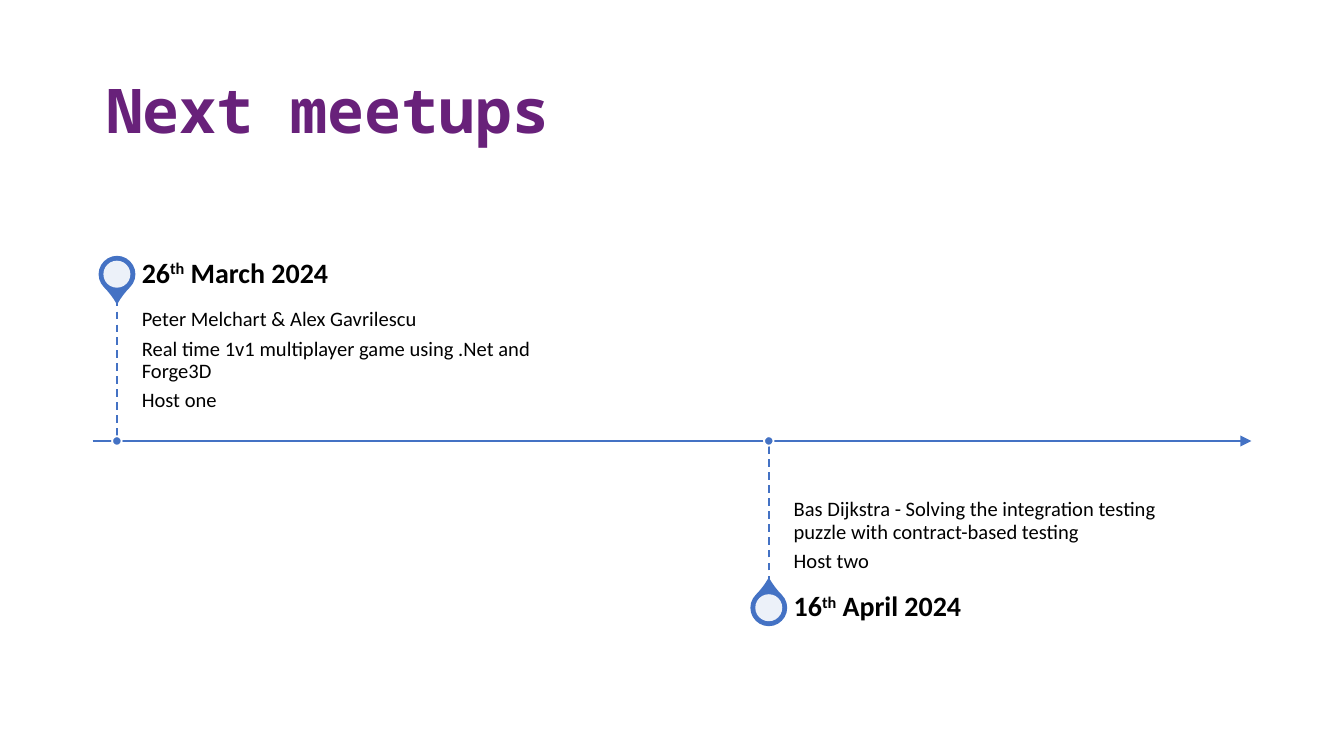
from lxml.etree import SubElement
from pptx import Presentation
from pptx.dml.color import RGBColor
from pptx.enum.dml import MSO_LINE
from pptx.enum.shapes import MSO_CONNECTOR, MSO_SHAPE
from pptx.enum.text import MSO_ANCHOR, PP_ALIGN
from pptx.oxml.ns import qn
from pptx.util import Cm, Pt

TITLE = "Next meetups"
MEETUPS = [
    {"day": "26", "month": " March 2024", "x": 2.21, "up": True,
     "talk": ["Peter Melchart & Alex Gavrilescu",
              "Real time 1v1 multiplayer game using .Net and Forge3D",
              "Host one"]},
    {"day": "16", "month": " April 2024", "x": 14.53, "up": False,
     "talk": ["Bas Dijkstra - Solving the integration testing puzzle with contract-based testing",
              "Host two"]},
]
COLORS = {"title": "68217A", "blue": "4472C4", "white": "FFFFFF", "text": "000000"}
AXIS = 8.33
STEM = 2.69
REACH = 3.15
DATE_H = 0.94
TEXT_W = 7.98
GAP = 0.47


def color(name):
    return RGBColor.from_string(COLORS[name])


def add_line(start, end, width):
    line = slide.shapes.add_connector(
        MSO_CONNECTOR.STRAIGHT, *[Cm(v) for v in (*start, *end)])
    line.line.color.rgb = color("blue")
    line.line.width = Pt(width)
    SubElement(line._element.spPr, qn("a:effectLst"))
    return line


def add_round(kind, x, y, size, fill, edge=None):
    shape = slide.shapes.add_shape(
        kind, Cm(x - size / 2), Cm(y - size / 2), Cm(size), Cm(size))
    shape.shadow.inherit = False
    shape.fill.solid()
    shape.fill.fore_color.rgb = color(fill)
    if edge:
        shape.line.color.rgb = color(edge)
        shape.line.width = Pt(1)
    else:
        shape.line.fill.background()
    return shape


def add_text(x, y, height, inset, anchor):
    box = slide.shapes.add_textbox(Cm(x), Cm(y), Cm(TEXT_W), Cm(height))
    frame = box.text_frame
    frame.word_wrap = True
    frame.vertical_anchor = anchor
    (frame.margin_left, frame.margin_top,
     frame.margin_right, frame.margin_bottom) = [Cm(v) for v in inset]
    return frame


def style(para, size, bold=False):
    para.line_spacing = 0.9
    para.space_after = Pt(size * 0.35)
    para.font.name = "Calibri"
    para.font.size = Pt(size)
    para.font.bold = bold
    para.font.color.rgb = color("text")


def add_meetup(item):
    x, up = item["x"], item["up"]
    side = -1 if up else 1
    pin = AXIS + side * REACH

    drop = add_round(MSO_SHAPE.TEAR, x, pin, 0.66, "blue", "blue")
    drop.adjustments[0] = 1.15
    drop.rotation = 135 if up else 315
    hole = add_round(MSO_SHAPE.OVAL, x, pin, 0.51, "white")
    tint = hole._element.spPr.find(qn("a:solidFill"))[0]
    SubElement(tint, qn("a:alpha"), val="90000")

    body = add_text(x + GAP, AXIS - STEM if up else AXIS, STEM,
                    (0, 0.2, 0, 0.28) if up else (0, 0.28, 0.2, 0.2),
                    MSO_ANCHOR.TOP if up else MSO_ANCHOR.BOTTOM)
    body.text = "\n".join(item["talk"])
    for para in body.paragraphs:
        style(para, 11)

    date = add_text(x + GAP, pin - DATE_H / 2, DATE_H,
                    (0, 0, 0.25, 0), MSO_ANCHOR.MIDDLE)
    para = date.paragraphs[0]
    for text in (item["day"], "th", item["month"]):
        run = para.add_run()
        run.text = text
        if text == "th":
            run._r.get_or_add_rPr().set("baseline", "30000")
    style(para, 15, True)

    stem = add_line((x, AXIS + side * STEM), (x, AXIS), 1)
    stem.line.dash_style = MSO_LINE.DASH
    add_round(MSO_SHAPE.OVAL, x, AXIS, 0.18, "blue", "white")


deck = Presentation()
deck.slide_width, deck.slide_height = Cm(25.4), Cm(14.28)
slide = deck.slides.add_slide(deck.slide_layouts[5])

title = slide.shapes.title
title.left, title.top, title.width, title.height = [
    Cm(v) for v in (1.75, 0.76, 21.9, 2.77)]
title.text = TITLE
title.text_frame.vertical_anchor = MSO_ANCHOR.MIDDLE
head = title.text_frame.paragraphs[0]
head.alignment = PP_ALIGN.LEFT
head.line_spacing = 0.9
head.font.name = "Noto Sans Mono"
head.font.size = Pt(33)
head.font.bold = True
head.font.color.rgb = color("title")

axis = add_line((1.75, AXIS), (23.65, AXIS), 1.5)
SubElement(axis.line._get_or_add_ln(), qn("a:tailEnd"), type="triangle")
for item in MEETUPS:
    add_meetup(item)

deck.save("out.pptx")
